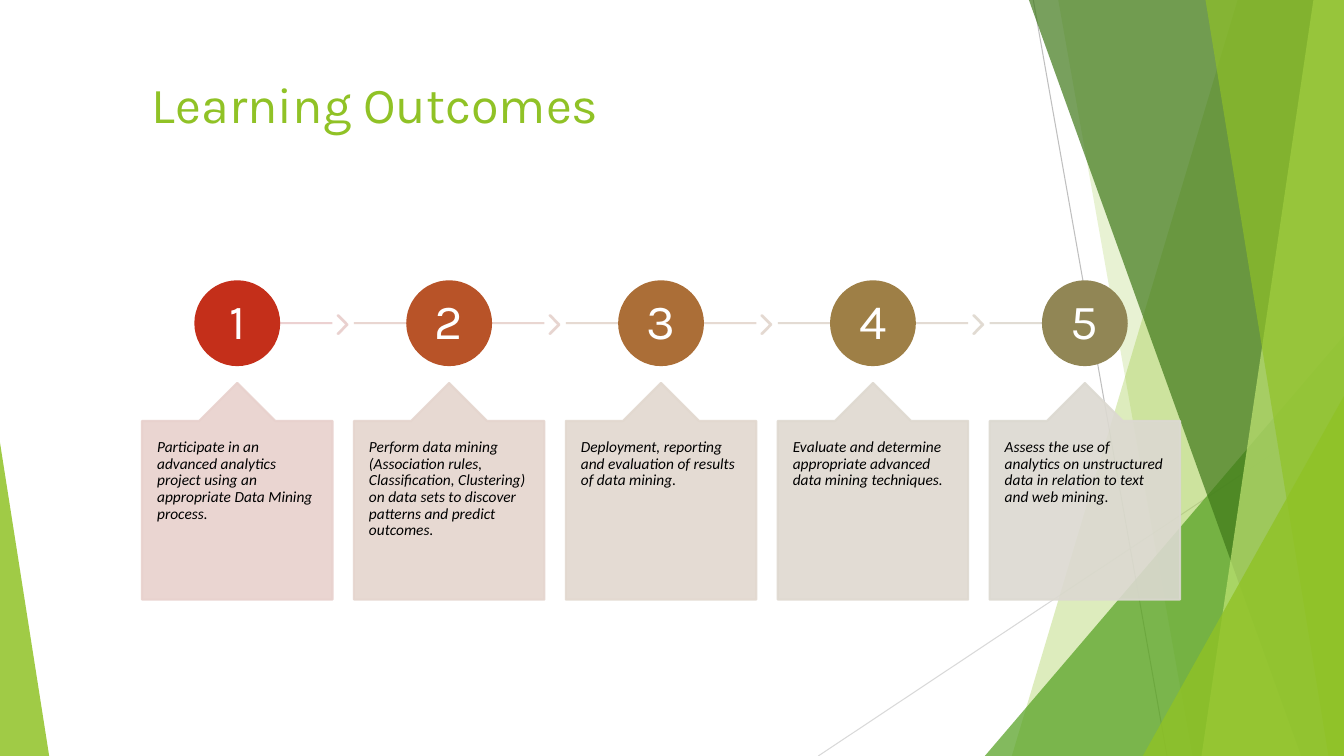
"""Build a slide of five numbered learning outcomes over faceted green panels."""
from pptx import Presentation
from pptx import util as u
from pptx.dml.color import RGBColor
from pptx.enum import shapes, text
from pptx.oxml.ns import qn
from lxml import etree

WIDTH, HEIGHT = 33.87, 19.05
LEFT, PITCH, CARD_WIDTH = 3.58, 5.34, 4.8
DISC, DISC_TOP = 2.11, 7.09
LINE_Y = 8.14

COLORS = {
    "lime": "90C226", "green": "54A021", "forest": "3F7819", "pale": "C0E474",
    "grey": "BFBFBF", "silver": "D9D9D9", "white": "FFFFFF", "black": "000000",
}
RAYS = [((26.04, 0), (29.41, HEIGHT), "grey"), ((WIDTH, 10.24), (20.62, HEIGHT), "silver")]
PANELS = [
    ("band", 31.19, 25.5, "lime", 30),
    ("band", 26.67, 30.05, "lime", 20),
    ("wedge", 24.82, 8.46, "green", 72),
    ("band", 25.93, 32.79, "forest", 70),
    ("band", 33.1, 30.28, "pale", 70),
    ("band", 30.38, 33.48, "lime", 65),
    ("wedge", 28.8, 9.98, "lime", 80),
]
OUTCOMES = [
    ("Participate in an advanced analytics project using an appropriate Data Mining process.",
     {"disc": "C42F1A", "line": "EACDCD", "chevron": "E9CFCD", "card": "E8D1CD"}),
    ("Perform data mining (Association rules, Classification, Clustering) on data sets "
     "to discover patterns and predict outcomes.",
     {"disc": "B85328", "line": "E7D2CD", "chevron": "E6D3CE", "card": "E5D5CE"}),
    ("Deployment, reporting and evaluation of results of data mining.",
     {"disc": "AB6E37", "line": "E4D6CE", "chevron": "E3D7CF", "card": "E2D8CF"}),
    ("Evaluate and determine appropriate advanced data mining techniques.",
     {"disc": "9E7F46", "line": "E1D8CF", "chevron": "E0D9D0", "card": "DFD9D0"}),
    ("Assess the use of analytics on unstructured data in relation to text and web mining.",
     {"disc": "918655", "line": "DED9D0", "card": "DCD9D1"}),
]
TITLE_FONT = {"name": "Karla", "size": u.Pt(36)}
NUMBER_FONT = {"name": "Karla", "size": u.Pt(35)}
OUTCOME_FONT = {"name": "Calibri", "size": u.Pt(11), "italic": True}


def set_values(target, values):
    """Set each attribute of the target from a dict."""
    for name, value in values.items():
        setattr(target, name, value)


def set_opacity(shape, percent):
    """Give every colour of a shape's fill and line an opacity."""
    for color in shape._element.spPr.iter(qn("a:srgbClr")):
        etree.SubElement(color, qn("a:alpha")).set("val", str(percent * 1000))


def paint(shape, color, opacity=100, outline=0):
    """Fill a shape, outline it in the same colour or not at all."""
    shape.shadow.inherit = False
    shape.fill.solid()
    shape.fill.fore_color.rgb = RGBColor.from_string(color)
    if outline:
        shape.line.color.rgb = RGBColor.from_string(color)
        shape.line.width = u.Pt(outline)
    else:
        shape.line.fill.background()
    if opacity < 100:
        set_opacity(shape, opacity)


def add_preset(slide, kind, box, adjustments=(), **look):
    """Add a painted preset shape at a box given in centimetres."""
    shape = slide.shapes.add_shape(kind, *map(u.Cm, box))
    for index, value in enumerate(adjustments):
        shape.adjustments[index] = value
    paint(shape, **look)
    return shape


def add_line(slide, start, end, color, width, opacity=100):
    """Add a straight line without a shadow."""
    line = slide.shapes.add_connector(shapes.MSO_CONNECTOR.STRAIGHT, *map(u.Cm, start + end))
    line.line.color.rgb = RGBColor.from_string(color)
    line.line.width = u.Pt(width)
    if opacity < 100:
        set_opacity(line, opacity)
    etree.SubElement(line._element.spPr, qn("a:effectLst"))


def add_band(slide, top_x, bottom_x, color, opacity):
    """Add a full-height panel reaching from a slanted edge to the right side."""
    builder = slide.shapes.build_freeform(u.Cm(top_x), 0)
    corners = [(WIDTH, 0), (WIDTH, HEIGHT), (bottom_x, HEIGHT)]
    builder.add_line_segments([(u.Cm(x), u.Cm(y)) for x, y in corners], close=True)
    paint(builder.convert_to_shape(), color, opacity)


def add_wedge(slide, left, top, right, apex, color, opacity):
    """Add a right-angled triangle standing on the bottom edge."""
    box = (left, top, right - left, HEIGHT - top)
    add_preset(slide, shapes.MSO_SHAPE.ISOSCELES_TRIANGLE, box, [apex], color=color, opacity=opacity)


def write(shape, words, font, color, align, anchor, insets):
    """Write one formatted paragraph into a shape."""
    frame = shape.text_frame
    side, end = map(u.Cm, insets)
    set_values(frame, {
        "word_wrap": True, "auto_size": text.MSO_AUTO_SIZE.NONE, "vertical_anchor": anchor,
        "margin_left": side, "margin_right": side, "margin_top": end, "margin_bottom": end,
    })
    para = frame.paragraphs[0]
    para.alignment = align
    span = para.add_run()
    span.text = words
    set_values(span.font, font)
    span.font.color.rgb = RGBColor.from_string(color)
    return para


def add_backdrop(slide):
    """Draw the rays and the overlapping green panels."""
    for start, end, color in RAYS:
        add_line(slide, start, end, COLORS[color], 0.75)
    for kind, first, second, color, opacity in PANELS:
        if kind == "band":
            add_band(slide, first, second, COLORS[color], opacity)
        else:
            add_wedge(slide, first, second, WIDTH, 1, COLORS[color], opacity)
    add_wedge(slide, 0, 11.15, 1.24, 0, COLORS["lime"], 85)


def add_outcome(slide, index, words, colors):
    """Draw one step: line, chevron, numbered disc and callout card."""
    left = LEFT + index * PITCH
    right, middle = left + CARD_WIDTH, left + CARD_WIDTH / 2
    is_first, is_last = index == 0, index == len(OUTCOMES) - 1
    start, end = middle if is_first else left, middle if is_last else right
    add_line(slide, (start, LINE_Y), (end, LINE_Y), colors["line"], 1.5, 90)
    if not is_last:
        add_preset(slide, shapes.MSO_SHAPE.CHEVRON, (left + 4.93, 7.95, 0.25, 0.46), [0.9],
                   color=colors["chevron"], opacity=90, outline=1.5)
    disc = add_preset(slide, shapes.MSO_SHAPE.OVAL, (middle - DISC / 2, DISC_TOP, DISC, DISC),
                      color=colors["disc"], outline=1.5)
    number = write(disc, str(index + 1), NUMBER_FONT, COLORS["white"],
                   text.PP_ALIGN.CENTER, text.MSO_ANCHOR.MIDDLE, (0.08, 0.08))
    card = add_preset(slide, shapes.MSO_SHAPE.UP_ARROW_CALLOUT, (left, 9.65, CARD_WIDTH, 5.46),
                      [0.5, 0.2, 0.2, 1], color=colors["card"], opacity=90, outline=1.5)
    outcome = write(card, words, OUTCOME_FONT, COLORS["black"],
                    text.PP_ALIGN.LEFT, text.MSO_ANCHOR.TOP, (0.38, 0.46))
    for para in (number, outcome):
        para.line_spacing = 0.9


def add_title(slide, words):
    """Place and format the title placeholder."""
    title = slide.shapes.title
    box = {"left": 3.58, "top": 1.7, "width": 28.32, "height": 3.05}
    set_values(title, {name: u.Cm(value) for name, value in box.items()})
    write(title, words, TITLE_FONT, COLORS["lime"],
          text.PP_ALIGN.LEFT, text.MSO_ANCHOR.TOP, (0.25, 0.13))


def main():
    """Build and save the deck."""
    deck = Presentation()
    set_values(deck, {"slide_width": u.Cm(WIDTH), "slide_height": u.Cm(HEIGHT)})
    page = deck.slides.add_slide(deck.slide_layouts[5])
    add_title(page, "Learning Outcomes")
    add_backdrop(page)
    for index, (words, colors) in enumerate(OUTCOMES):
        add_outcome(page, index, words, colors)
    deck.save("out.pptx")


if __name__ == "__main__":
    main()
